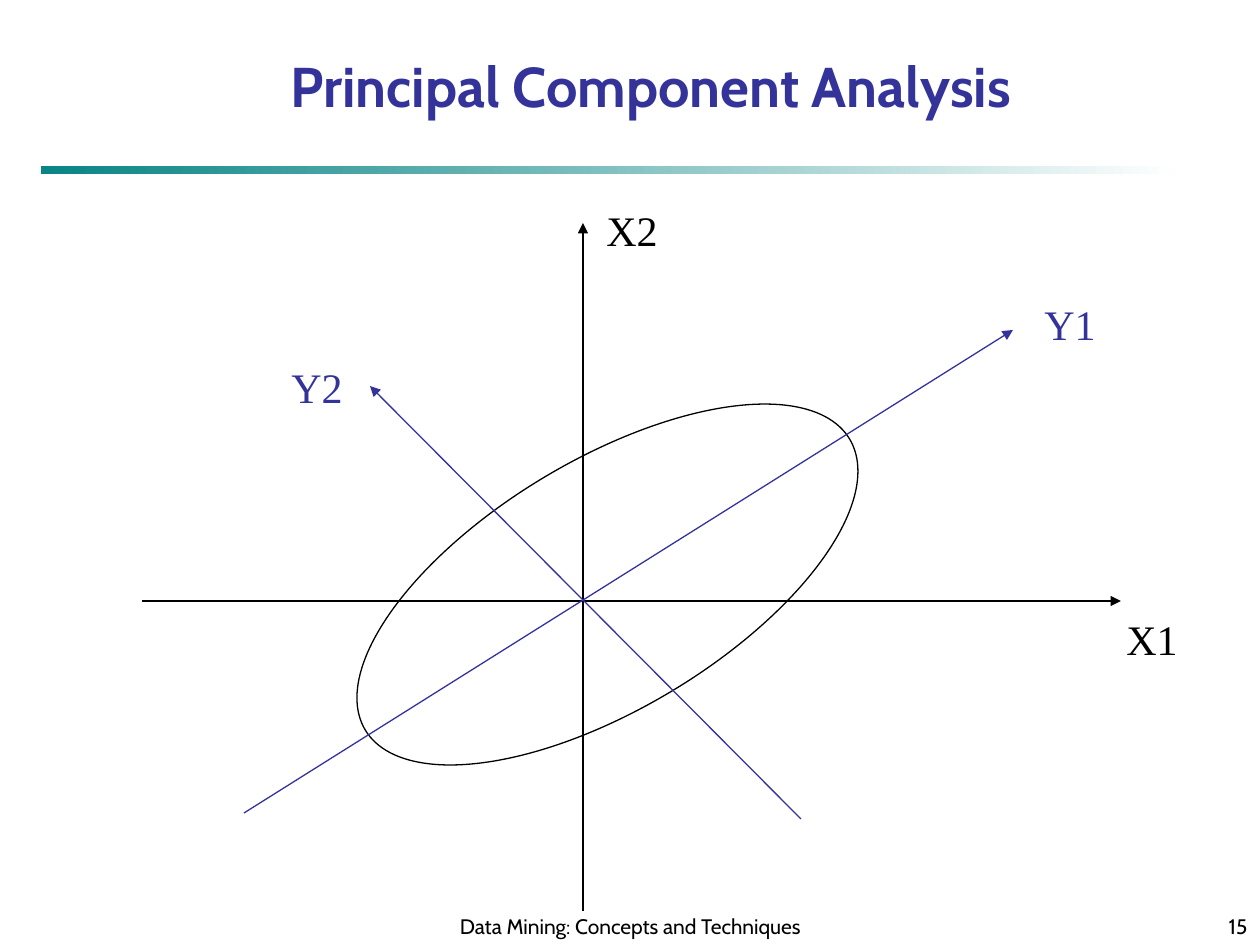
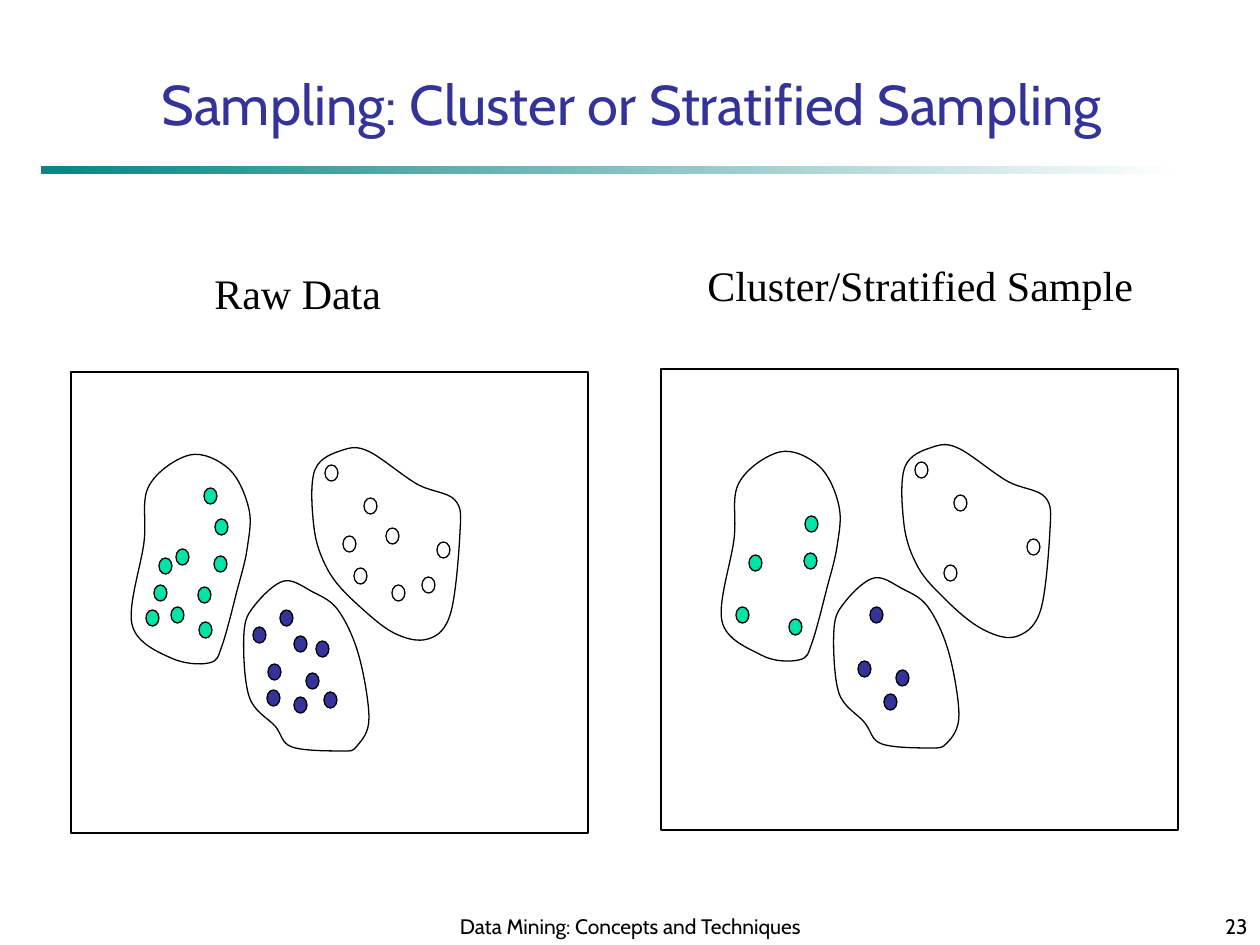
from lxml.etree import SubElement
from pptx import Presentation
from pptx.dml.color import RGBColor
from pptx.enum.shapes import MSO_CONNECTOR, MSO_SHAPE
from pptx.enum.text import MSO_ANCHOR, MSO_AUTO_SIZE, PP_ALIGN
from pptx.oxml.ns import qn
from pptx.util import Pt

PX = 914400 / 126
INDIGO = RGBColor(0x33, 0x33, 0x99)
TEAL = RGBColor(0x00, 0x80, 0x80)
MINT = RGBColor(0x00, 0xE4, 0xA8)
BLACK = RGBColor(0, 0, 0)
WHITE = RGBColor(0xFF, 0xFF, 0xFF)
SANS, SERIF = "Cabin", "Times New Roman"
HAIRLINE = Pt(0.74)


def write(frame, text, font, size, color, align=PP_ALIGN.LEFT,
          anchor=MSO_ANCHOR.TOP, wrap=False, bold=False):
    frame.word_wrap = wrap
    frame.auto_size = MSO_AUTO_SIZE.NONE
    frame.vertical_anchor = anchor
    para = frame.paragraphs[0]
    para.alignment = align
    span = para.add_run()
    span.text = text
    span.font.name, span.font.size, span.font.bold = font, Pt(size), bold
    span.font.color.rgb = color


def outline(shape, fill=None):
    shape.shadow.inherit = False
    if fill is None:
        shape.fill.background()
    else:
        shape.fill.solid()
        shape.fill.fore_color.rgb = fill
    shape.line.color.rgb = BLACK
    shape.line.width = HAIRLINE


deck = Presentation()
deck.slide_width, deck.slide_height = round(1260 * PX), round(945 * PX)

# Shared parts: title, gradient band, footer and page number
pages = []
for number, text, bold, area, anchor, inset in [
    ("15", "Principal Component Analysis", True, (189, 45, 924, 81),
     MSO_ANCHOR.TOP, (13, 6)),
    ("23", "Sampling: Cluster or Stratified Sampling", False, (32, 53, 1200, 84),
     MSO_ANCHOR.BOTTOM, (0, 0)),
]:
    page = deck.slides.add_slide(deck.slide_layouts[5])
    pages.append(page)

    title = page.shapes.title
    title.left, title.top, title.width, title.height = [round(v * PX) for v in area]
    frame = title.text_frame
    frame.margin_left = frame.margin_right = round(inset[0] * PX)
    frame.margin_top = frame.margin_bottom = round(inset[1] * PX)
    write(frame, text, SANS, 32, INDIGO, PP_ALIGN.CENTER, anchor, True, bold)

    band = page.shapes.add_shape(
        MSO_SHAPE.RECTANGLE, *[round(v * PX) for v in (42, 167, 1134, 7)])
    band.shadow.inherit = False
    band.line.fill.background()
    band.fill.gradient()
    band.fill.gradient_angle = 0
    for stop, color, position in zip(band.fill.gradient_stops, (TEAL, WHITE), (0, 1)):
        stop.color.rgb = color
        stop.position = position
    first_color = band.element.spPr.find(".//" + qn("a:srgbClr"))
    SubElement(first_color, qn("a:alpha")).set("val", "96000")

    for left, width, text, align in [
        (431, 399, "Data Mining: Concepts and Techniques", PP_ALIGN.CENTER),
        (998, 262, number, PP_ALIGN.RIGHT),
    ]:
        box = page.shapes.add_textbox(
            *[round(v * PX) for v in (left, 892, width, 53)])
        write(box.text_frame, text, SANS, 12, BLACK, align, MSO_ANCHOR.BOTTOM, True)

pca, sampling = pages

# Principal components: data ellipse
ellipse = pca.shapes.add_shape(
    MSO_SHAPE.OVAL, *[round(v * PX) for v in (325, 460, 565, 249)])
ellipse.rotation = 329
outline(ellipse)

# Principal components: X axes and rotated Y axes
for ends, color in [
    ((142, 601, 1121, 601), BLACK),
    ((583, 911, 583, 223), BLACK),
    ((244, 813, 1013, 330), INDIGO),
    ((801, 819, 370, 386), INDIGO),
]:
    axis = pca.shapes.add_connector(
        MSO_CONNECTOR.STRAIGHT, *[round(v * PX) for v in ends])
    axis.line.color.rgb = color
    axis.line.width = HAIRLINE
    properties = axis.element.spPr
    SubElement(properties.find(qn("a:ln")), qn("a:tailEnd")).set("type", "triangle")
    SubElement(properties, qn("a:effectLst"))

# Labels of both slides
for page, text, left, top, width, color in [
    (pca, "X1", 1114, 607, 77, BLACK),
    (pca, "X2", 594, 198, 77, BLACK),
    (pca, "Y1", 1032, 292, 77, INDIGO),
    (pca, "Y2", 279, 355, 77, INDIGO),
    (sampling, "Raw Data", 202, 261, 191, BLACK),
    (sampling, "Cluster/Stratified Sample", 695, 253, 451, BLACK),
]:
    box = page.shapes.add_textbox(*[round(v * PX) for v in (left, top, width, 63)])
    write(box.text_frame, text, SERIF, 24, color)

# Clusters: dot colour, sampled dots, other dots, points on the border
clusters = [
    (WHITE,
     [(364, 498), (354, 568), (437, 542), (325, 465)],
     [(386, 528), (343, 536), (422, 577), (392, 585)],
     [(455, 500), (460, 534), (451, 612), (428, 639), (394, 633), (357, 604),
      (328, 570), (314, 527), (315, 470), (343, 450), (370, 452), (417, 484)]),
    (INDIGO,
     [(294, 697), (306, 673), (268, 664), (280, 610)],
     [(253, 627), (316, 641), (267, 690), (294, 636), (324, 692)],
     [(275, 726), (249, 696), (244, 633), (255, 605), (284, 581), (311, 591),
      (338, 610), (359, 656), (369, 718), (357, 746), (341, 751), (292, 747)]),
    (MINT,
     [(146, 610), (159, 558), (199, 622), (214, 556), (215, 519)],
     [(171, 607), (154, 585), (198, 587), (176, 549), (204, 488)],
     [(236, 595), (222, 646), (209, 663), (171, 658), (132, 624), (144, 543),
      (149, 486), (190, 455), (229, 469), (249, 509), (247, 550)]),
]

# Two panels: all raw data, then the same clusters with the sampled dots only
for shift_x, shift_y, show_all in [(0, 0, True), (590, -3, False)]:
    panel = sampling.shapes.add_group_shape().shapes
    panel_box = panel.add_shape(
        MSO_SHAPE.RECTANGLE,
        *[round(v * PX) for v in (71 + shift_x, 372 + shift_y, 517, 461)])
    outline(panel_box)

    for color, sampled, others, border_points in clusters:
        for left, top in sampled + (others if show_all else []):
            dot = panel.add_shape(
                MSO_SHAPE.FLOWCHART_CONNECTOR,
                *[round(v * PX) for v in (left + shift_x, top + shift_y, 13, 16)])
            outline(dot, color)

        # Smooth border: each control point follows the neighbours' direction
        points = [(x + shift_x, y + shift_y) for x, y in border_points]
        count = len(points)
        curve = []
        for i in range(count):
            before, here, there, after = [points[(i + k) % count] for k in (-1, 0, 1, 2)]
            curve += [
                [h + (t - b) / 6 for b, h, t in zip(before, here, there)],
                [t - (a - h) / 6 for h, t, a in zip(here, there, after)],
                there,
            ]
        builder = panel.build_freeform(*points[0], scale=PX)
        builder.add_line_segments(curve, close=True)
        border = builder.convert_to_shape()
        outline(border)

        # Turn every three line segments into one Bezier curve
        segments = border.element.findall(".//" + qn("a:lnTo"))
        for first in range(0, len(curve), 3):
            bezier, *controls = segments[first:first + 3]
            bezier.tag = qn("a:cubicBezTo")
            for segment in controls:
                bezier.append(segment[0])
                segment.getparent().remove(segment)

deck.save("out.pptx")
